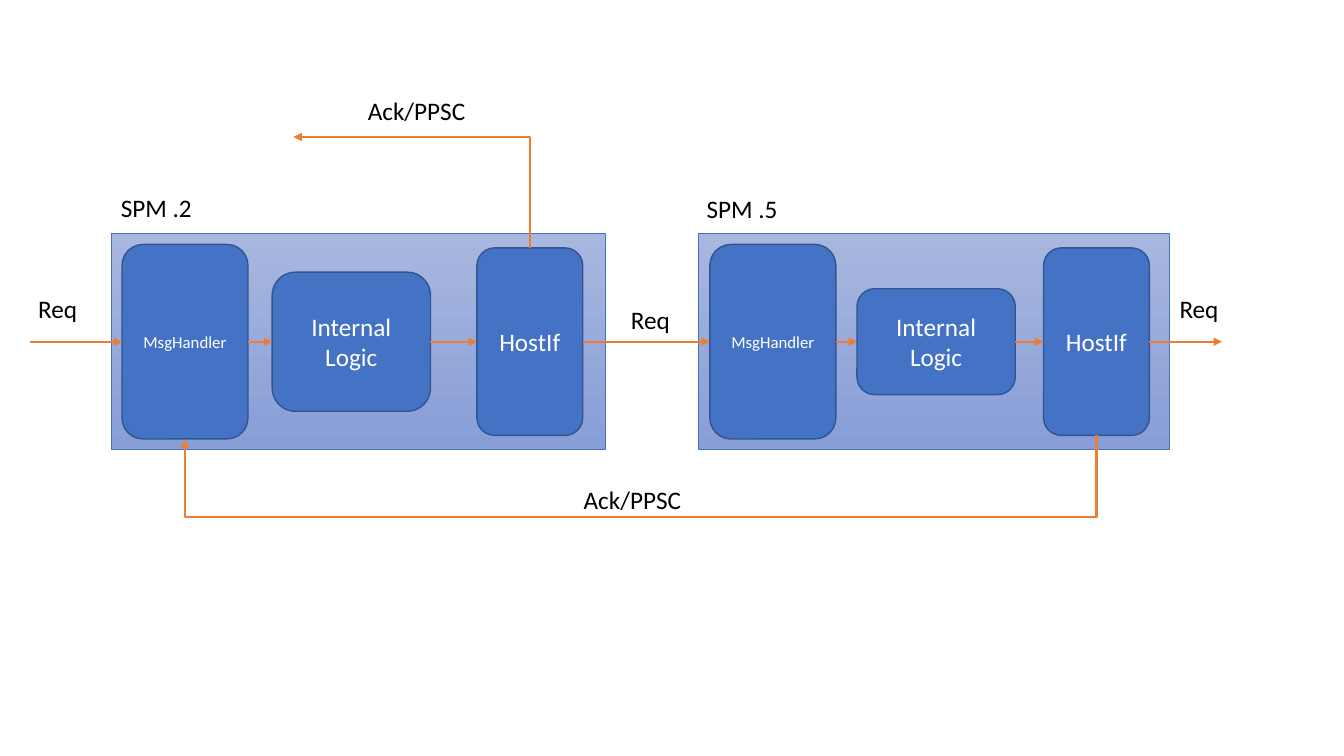
from pptx import Presentation
from pptx.dml.color import RGBColor
from pptx.enum.shapes import MSO_CONNECTOR, MSO_SHAPE
from pptx.enum.text import MSO_ANCHOR, PP_ALIGN
from pptx.oxml.ns import qn
from pptx.util import Inches, Pt
from lxml.etree import SubElement

# Content: every block is centred on one horizontal axis
AXIS = 3.39
PANEL_H = 2.14
# Panel left and width, then blocks: text, left, width, height, text size
MODULES = [
    (1.1, 4.9, [
        ("MsgHandler", 1.21, 1.25, 1.93, 12),
        ("Internal\nLogic", 2.7, 1.57, 1.38, 18),
        ("HostIf", 4.73, 1.05, 1.86, 18)]),
    (6.93, 4.67, [
        ("MsgHandler", 7.04, 1.25, 1.93, 12),
        ("Internal\nLogic", 8.5, 1.57, 1.05, 18),
        ("HostIf", 10.35, 1.05, 1.86, 18)]),
]
# Text, left, top, width
LABELS = [
    ("Req", 6.16, 2.97, 0.63),
    ("Ack/PPSC", 5.69, 4.76, 1.35),
    ("Req", 0.28, 2.86, 0.72),
    ("Req", 11.6, 2.86, 0.72),
    ("Ack/PPSC", 3.55, 0.9, 1.4),
    ("SPM .2", 1.1, 1.86, 1.25),
    ("SPM .5", 6.91, 1.87, 1.1),
]
ENDS = [(11.4, 12.12), (0.3, 1.21)]  # outer request arrows, from x to x
ACK_UP = (2.91, 1.36)  # tip of the upper reply
ACK_LOW = 5.13  # level of the lower reply
LABEL_H = 0.4
FONT = {"name": "Calibri"}

deck = Presentation()
deck.slide_width, deck.slide_height = Inches(13.33), Inches(7.5)
slide = deck.slides.add_slide(deck.slide_layouts[6])
shapes = slide.shapes


def color(code):
    return RGBColor.from_string(code)


def write(frame, text, size, code, align):
    frame.word_wrap = True
    frame.text = text
    for para in frame.paragraphs:
        para.alignment = align
        for key, val in {**FONT, "size": Pt(size)}.items():
            setattr(para.font, key, val)
        para.font.color.rgb = color(code)


def block(kind, left, width, height, edge, weight):
    shape = shapes.add_shape(kind, Inches(left), Inches(AXIS - height / 2),
                             Inches(width), Inches(height))
    shape.shadow.inherit = False
    shape.line.color.rgb = color(edge)
    shape.line.width = Pt(weight)
    return shape


def arrow(kind, x1=0, y1=0, x2=0, y2=0):
    link = shapes.add_connector(kind, *map(Inches, (x1, y1, x2, y2)))
    link.line.color.rgb = color("ED7D31")
    link.line.width = Pt(1.5)
    SubElement(link.line._get_or_add_ln(), qn("a:tailEnd"), type="triangle")
    SubElement(link._element.spPr, qn("a:effectLst"))
    return link


def turned(start, end, rot, flip, geom, drop=None):
    """Elbow that leaves its start vertically: a turned frame about the middle."""
    (x1, y1), (x2, y2) = start, end
    wide, high = abs(y2 - y1), abs(x2 - x1)
    left, top = (x1 + x2 - wide) / 2, (y1 + y2 - high) / 2
    low, up = (top + high, top) if flip else (top, top + high)
    props = arrow(MSO_CONNECTOR.ELBOW, left, low, left + wide, up)._element.spPr
    props.find(qn("a:xfrm")).set("rot", str(rot * 60000))
    preset = props.find(qn("a:prstGeom"))
    preset.set("prst", geom)
    if drop:
        SubElement(preset.find(qn("a:avLst")), qn("a:gd"), name="adj1",
                   fmla=f"val {round(drop / wide * 100000)}")


# Panels and their blocks
chain = []
for left, width, parts in MODULES:
    panel = block(MSO_SHAPE.RECTANGLE, left, width, PANEL_H, "4472C4", 0.5)
    panel.fill.gradient()
    panel.fill.gradient_angle = 270
    for stop, code in zip(panel.fill.gradient_stops, ("A8B7DF", "889ED7")):
        stop.color.rgb = color(code)
    for text, x, wide, high, size in parts:
        part = block(MSO_SHAPE.ROUNDED_RECTANGLE, x, wide, high, "325491", 1)
        part.fill.solid()
        part.fill.fore_color.rgb = color("4472C4")
        part.text_frame.vertical_anchor = MSO_ANCHOR.MIDDLE
        write(part.text_frame, text, size, "FFFFFF", PP_ALIGN.CENTER)
        chain.append(part)

# Request arrows: right side of each block to the left side of the next
for prev, then in zip(chain, chain[1:]):
    link = arrow(MSO_CONNECTOR.ELBOW)
    link.begin_connect(prev, 3)
    link.end_connect(then, 1)
for x1, x2 in ENDS:
    arrow(MSO_CONNECTOR.STRAIGHT, x1, AXIS, x2, AXIS)


# Reply arrows
def edge(part, side):
    _, x, wide, high, _ = part
    return x + wide / 2, AXIS + side * high / 2


first, last = MODULES[0][2], MODULES[1][2]
base = edge(last[2], 1)
turned(base, edge(first[0], 1), 90, False, "bentConnector3", ACK_LOW - base[1])
turned(edge(first[2], -1), ACK_UP, 270, True, "bentConnector2")

# Labels
for text, left, top, width in LABELS:
    box = shapes.add_textbox(*map(Inches, (left, top, width, LABEL_H)))
    write(box.text_frame, text, 18, "000000", PP_ALIGN.LEFT)

deck.save("out.pptx")
